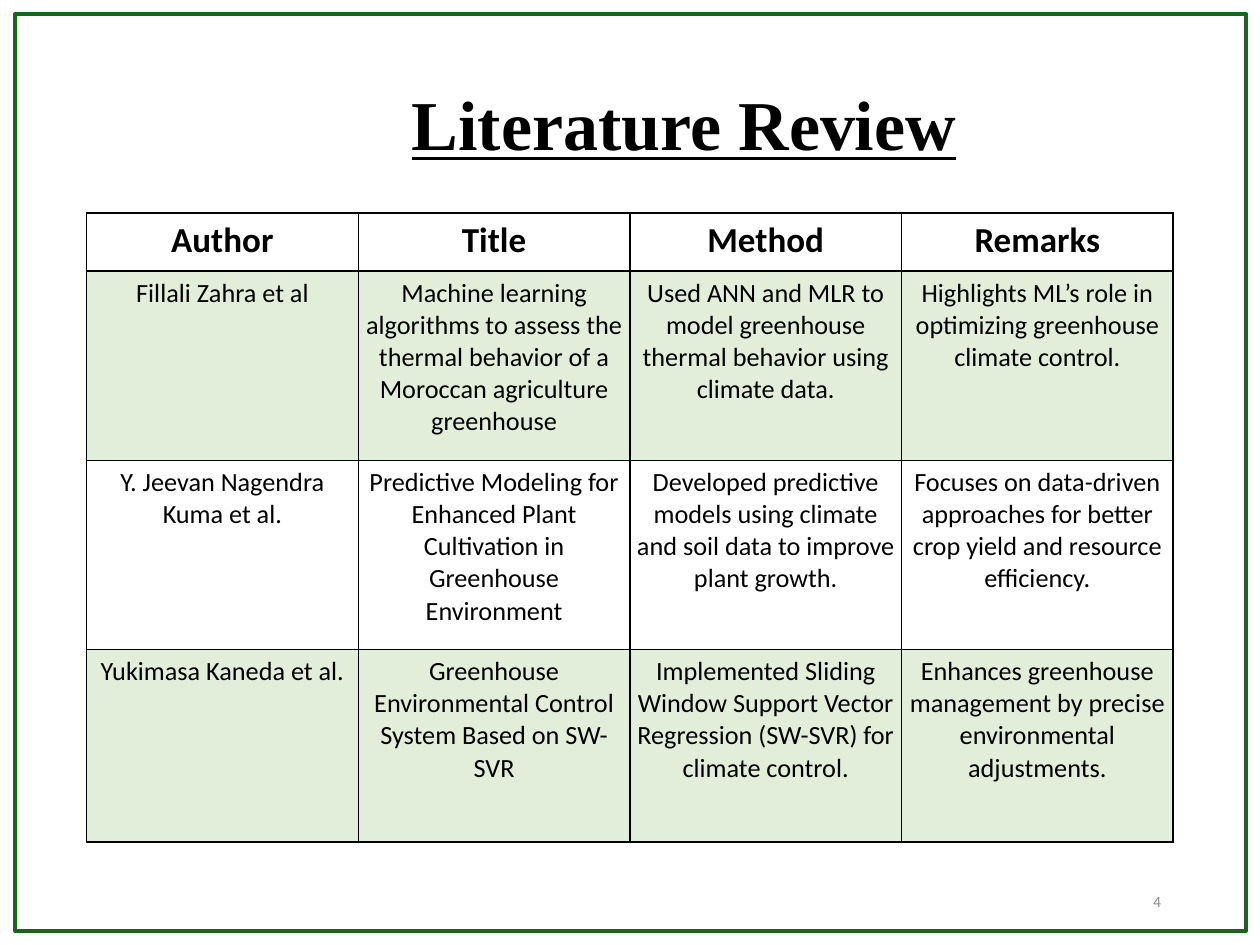
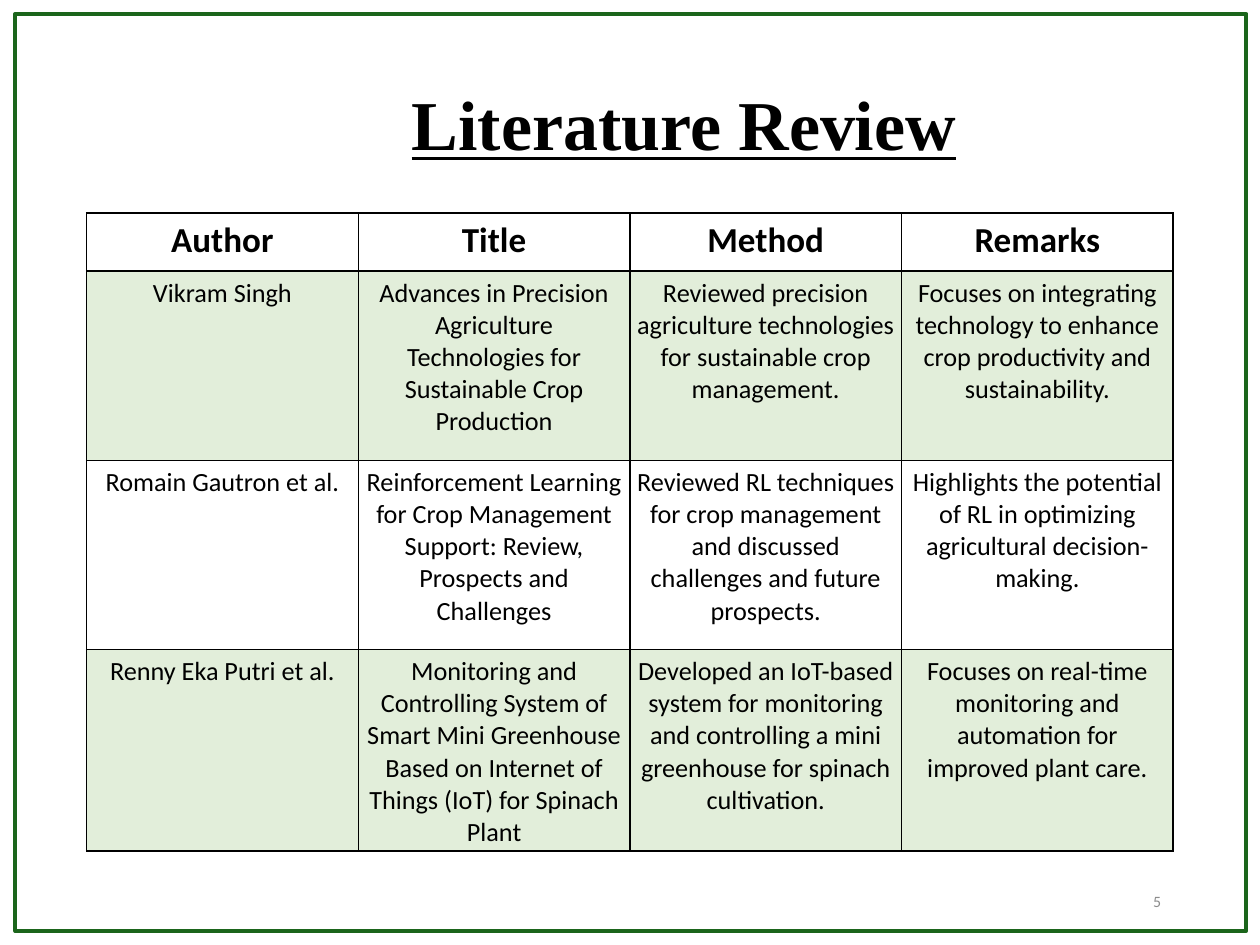
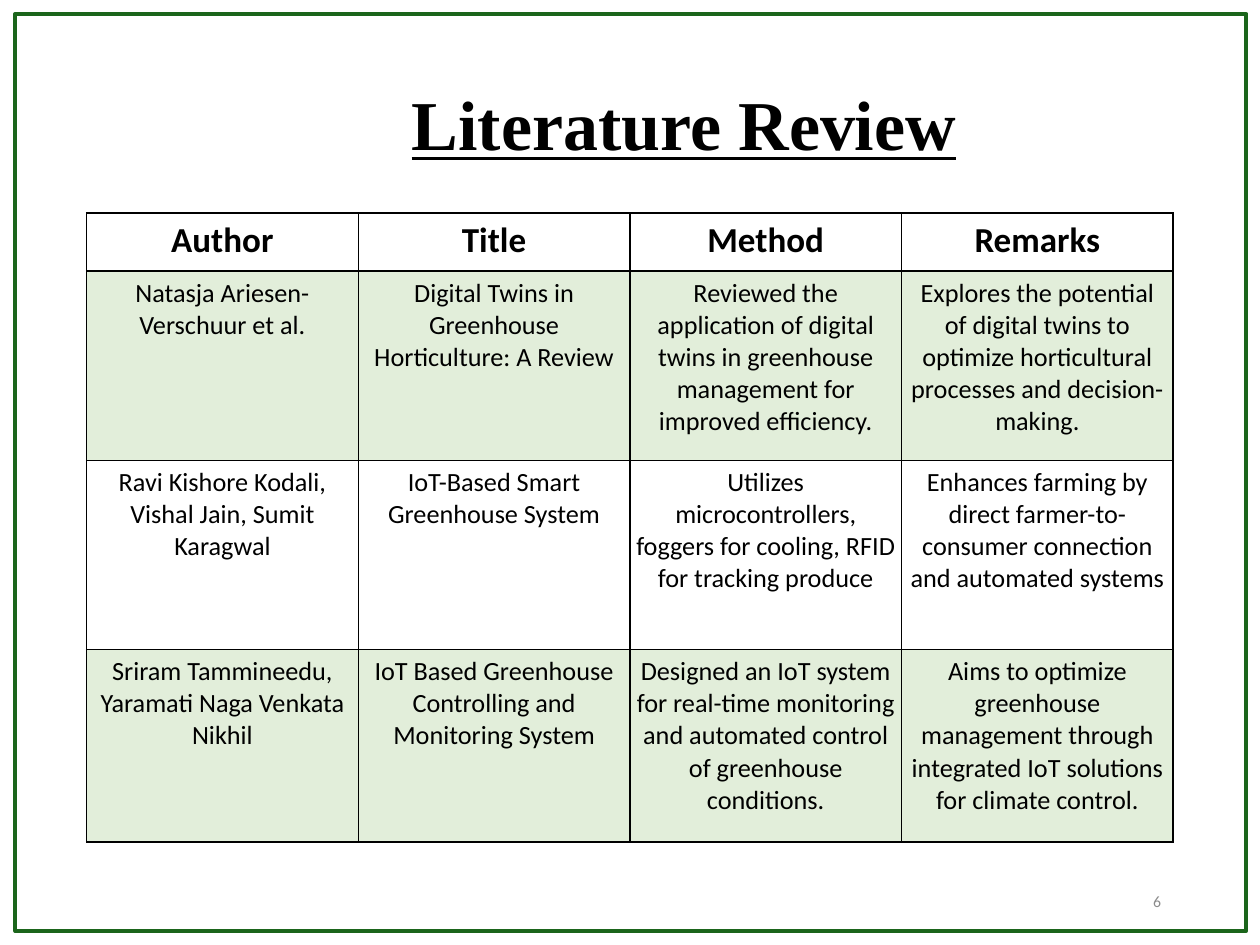
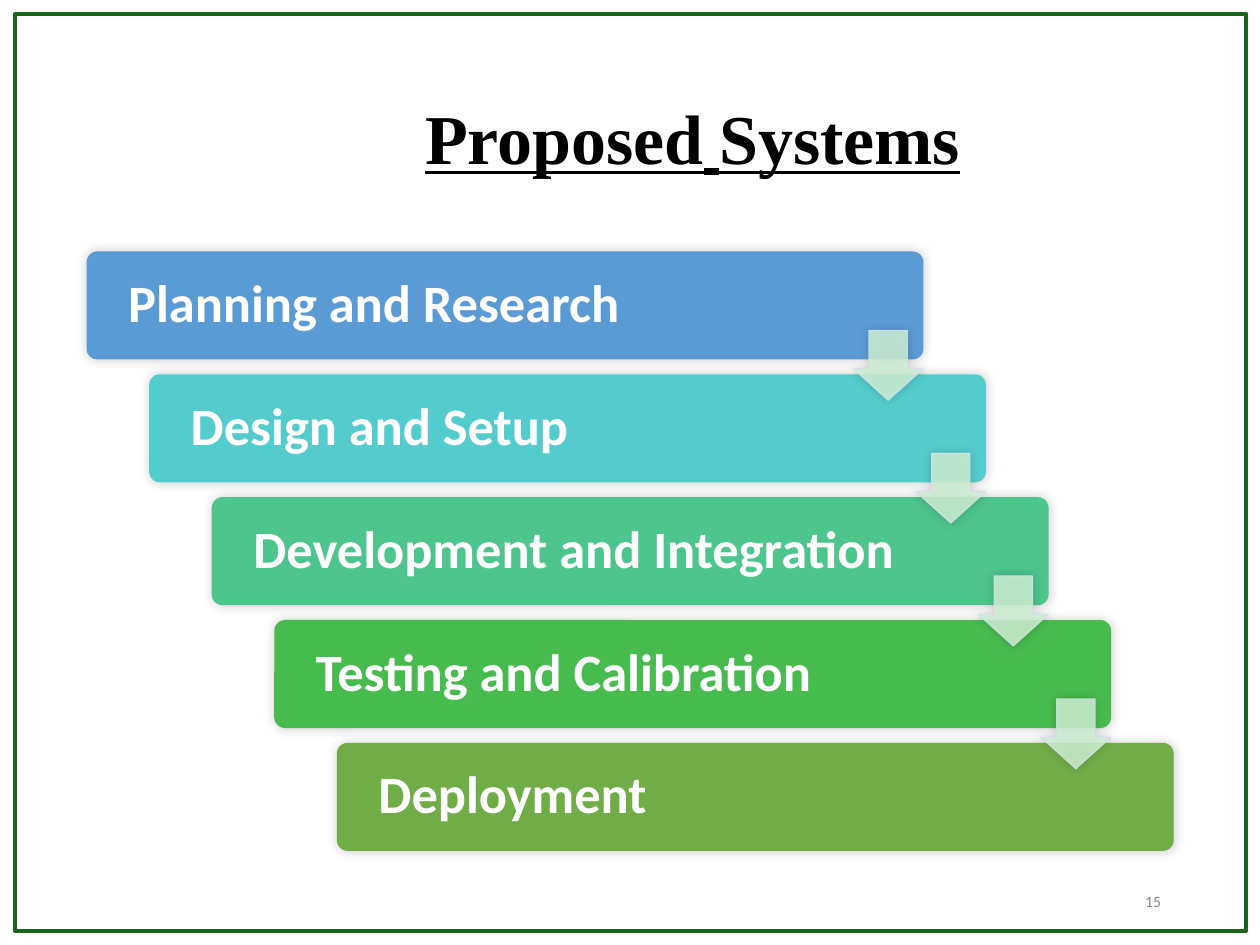
"""Build four slides: three literature tables and a staircase of project steps."""
from dataclasses import dataclass
from typing import Any

from lxml.etree import SubElement
from pptx import Presentation
from pptx.dml.color import RGBColor as Rgb
from pptx.enum.shapes import MSO_SHAPE as Kind
from pptx.enum.text import MSO_ANCHOR as Anchor, PP_ALIGN as Align
from pptx.oxml import parse_xml
from pptx.oxml.ns import nsdecls, qn
from pptx.util import Pt

HUES = {
    "ink": "000000", "white": "FFFFFF", "frame": "1B651B", "grey": "8C8C8C",
    "leaf": "70AD47", "blue": "5B9BD5", "aqua": "54CCCD", "mint": "4DC58D",
    "green": "48BB4F", "pale": "D0F0D5", "edge": "D2DEEF",
}
SANS, SERIF = "Calibri", "Times New Roman"


@dataclass(frozen=True)
class Box:
    left: float
    top: float
    width: float
    height: float

    def spots(self) -> tuple:
        return Pt(self.left), Pt(self.top), Pt(self.width), Pt(self.height)

    def move(self, right: float, down: float) -> "Box":
        return Box(self.left + right, self.top + down, self.width, self.height)


@dataclass(frozen=True)
class Look:
    font: dict[str, Any]
    hue: str
    para: dict[str, Any]


@dataclass(frozen=True)
class Step:
    label: str
    hue: str


@dataclass(frozen=True)
class Review:
    page: str
    rows: list[tuple[str, str, str, str]]


MID = {"alignment": Align.CENTER}
TITLE = Look({"size": Pt(40), "bold": True, "underline": True, "name": SERIF},
             "ink", {**MID, "line_spacing": 0.9})
HEAD = Look({"size": Pt(20), "bold": True, "name": SANS}, "ink", MID)
BODY = Look({"size": Pt(15), "bold": False, "name": SANS}, "ink", MID)
PAGE = Look({"size": Pt(9), "name": SANS}, "grey", {"alignment": Align.RIGHT})
STEP = Look({"size": Pt(30), "bold": True, "name": SANS}, "white",
            {"alignment": Align.LEFT, "line_spacing": 0.9})

FRAME = Box(8.75, 8, 703.5, 524)
TOP = Box(80.5, 21, 620.6, 104.4)
FOOT = Box(508.5, 500.5, 162, 28.75)
GRID = Box(49.5, 121.7, 621, 359.5)
BAR = Box(49.5, 143.7, 478.2, 61.7)
ARROW = Box(487.5, 188.7, 40.1, 40.1)
SHIFT = (35.75, 70.2)
HIGH = (33.25, 108.1, 108.1, 110.05)
PAD = {f"margin_{side}": Pt(3.6) for side in ("left", "right", "top", "bottom")}
HEADS = ("Author", "Title", "Method", "Remarks")

REVIEWS = [
    Review("4", [
        ("Fillali Zahra et al",
         "Machine learning algorithms to assess the thermal behavior of a Moroccan agriculture greenhouse",
         "Used ANN and MLR to model greenhouse thermal behavior using climate data.",
         "Highlights ML’s role in optimizing greenhouse climate control."),
        ("Y. Jeevan Nagendra Kuma et al.",
         "Predictive Modeling for Enhanced Plant Cultivation in Greenhouse Environment",
         "Developed predictive models using climate and soil data to improve plant growth.",
         "Focuses on data-driven approaches for better crop yield and resource efficiency."),
        ("Yukimasa Kaneda et al.",
         "Greenhouse Environmental Control System Based on SW-SVR",
         "Implemented Sliding Window Support Vector Regression (SW-SVR) for climate control.",
         "Enhances greenhouse management by precise environmental adjustments."),
    ]),
    Review("5", [
        ("Vikram Singh",
         "Advances in Precision Agriculture Technologies for Sustainable Crop Production",
         "Reviewed precision agriculture technologies for sustainable crop management.",
         "Focuses on integrating technology to enhance crop productivity and sustainability."),
        ("Romain Gautron et al.",
         "Reinforcement Learning for Crop Management Support: Review, Prospects and Challenges",
         "Reviewed RL techniques for crop management and discussed challenges and future prospects.",
         "Highlights the potential of RL in optimizing agricultural decision-making."),
        ("Renny Eka Putri et al.",
         "Monitoring and Controlling System of Smart Mini Greenhouse Based on Internet of Things (IoT) for Spinach Plant",
         "Developed an IoT-based system for monitoring and controlling a mini greenhouse for spinach cultivation.",
         "Focuses on real-time monitoring and automation for improved plant care."),
    ]),
    Review("6", [
        ("Natasja Ariesen-Verschuur et al.",
         "Digital Twins in Greenhouse Horticulture: A Review",
         "Reviewed the application of digital twins in greenhouse management for improved efficiency.",
         "Explores the potential of digital twins to optimize horticultural processes and decision-making."),
        ("Ravi Kishore Kodali, Vishal Jain, Sumit Karagwal",
         "IoT-Based Smart Greenhouse System",
         "Utilizes microcontrollers, foggers for cooling, RFID for tracking produce",
         "Enhances farming by direct farmer-to-consumer connection and automated systems"),
        ("Sriram Tammineedu, Yaramati Naga Venkata Nikhil",
         "IoT Based Greenhouse Controlling and Monitoring System",
         "Designed an IoT system for real-time monitoring and automated control of greenhouse conditions.",
         "Aims to optimize greenhouse management through integrated IoT solutions for climate control."),
    ]),
]
STEPS = [
    Step("Planning and Research", "blue"),
    Step("Design and Setup", "aqua"),
    Step("Development and Integration", "mint"),
    Step("Testing and Calibration", "green"),
    Step("Deployment", "leaf"),
]


def assign(item: Any, form: dict[str, Any]) -> None:
    for key, value in form.items():
        setattr(item, key, value)


def rgb(hue: str) -> Rgb:
    return Rgb.from_string(HUES[hue])


def paint(fill: Any, hue: str) -> None:
    fill.solid()
    fill.fore_color.rgb = rgb(hue)


def fade(node: Any, share: int) -> None:
    tone = node.find(f"{qn('a:solidFill')}/{qn('a:srgbClr')}")
    SubElement(tone, qn("a:alpha"), val=str(share * 1000))


def write(frame: Any, look: Look, *parts: tuple[str, str]) -> None:
    para = frame.paragraphs[0]
    assign(para, look.para)
    for text, face in parts:
        run = para.add_run()
        run.text = text
        assign(run.font, {**look.font, "name": face})
        run.font.color.rgb = rgb(look.hue)


def label(slide: Any, box: Box, look: Look, *parts: tuple[str, str]) -> None:
    frame = slide.shapes.add_textbox(*box.spots()).text_frame
    assign(frame, {"word_wrap": True, "vertical_anchor": Anchor.MIDDLE})
    write(frame, look, *parts)


def border(slide: Any) -> None:
    shape = slide.shapes.add_shape(Kind.RECTANGLE, *FRAME.spots())
    shape.shadow.inherit = False
    shape.fill.background()
    shape.line.color.rgb = rgb("frame")
    shape.line.width = Pt(2.25)


def rule(cell: Any) -> None:
    props = cell._tc.get_or_add_tcPr()
    for spot, side in enumerate("LRTB"):
        props.insert(spot, parse_xml(
            f'<a:ln{side} {nsdecls("a")} w="{Pt(1)}"><a:solidFill>'
            f'<a:srgbClr val="{HUES["ink"]}"/></a:solidFill></a:ln{side}>'))


def chart(slide: Any, rows: list[tuple[str, str, str, str]]) -> None:
    full = [HEADS, *rows]
    table = slide.shapes.add_table(len(full), len(HEADS), *GRID.spots()).table
    assign(table, {"first_row": False, "horz_banding": False})
    for col in table.columns:
        col.width = Pt(GRID.width / len(HEADS))
    for i, (line, high) in enumerate(zip(full, HIGH)):
        table.rows[i].height = Pt(high)
        for j, text in enumerate(line):
            cell = table.cell(i, j)
            assign(cell, PAD)
            write(cell.text_frame, BODY if i else HEAD, (text, SANS))
            if i % 2:
                paint(cell.fill, "leaf")
                fade(cell._tc.tcPr, 20)
            else:
                cell.fill.background()
            rule(cell)


def block(slide: Any, kind: Any, box: Box, hue: str, bends: tuple) -> Any:
    shape = slide.shapes.add_shape(kind, *box.spots())
    for i, bend in enumerate(bends):
        shape.adjustments[i] = bend
    paint(shape.fill, hue)
    shape.line.fill.background()
    shape.shadow.inherit = False
    glow = SubElement(shape._element.spPr.find(qn("a:effectLst")), qn("a:outerShdw"),
                      blurRad=str(Pt(6)), dist="0", dir="18900000", rotWithShape="0")
    tone = SubElement(glow, qn("a:srgbClr"), val=HUES["ink"])
    SubElement(tone, qn("a:alpha"), val="20000")
    return shape


def stairs(slide: Any) -> None:
    for i, step in enumerate(STEPS):
        box = BAR.move(SHIFT[0] * i, SHIFT[1] * i)
        frame = block(slide, Kind.ROUNDED_RECTANGLE, box, step.hue, (0.1,)).text_frame
        assign(frame, {"word_wrap": True, "vertical_anchor": Anchor.MIDDLE,
                       "margin_left": Pt(22)})
        write(frame, STEP, (step.label, SANS))
    for i in range(len(STEPS) - 1):
        box = ARROW.move(SHIFT[0] * i, SHIFT[1] * i)
        shape = block(slide, Kind.DOWN_ARROW, box, "pale", (0.55, 0.45))
        shape.line.color.rgb = rgb("edge")
        shape.line.width = Pt(0.5)
        fade(shape._element.spPr, 84)
        fade(shape._element.spPr.find(qn("a:ln")), 90)


def main() -> None:
    deck = Presentation()
    assign(deck, {"slide_width": Pt(720), "slide_height": Pt(540)})
    blank = deck.slide_layouts[6]
    for review in REVIEWS:
        slide = deck.slides.add_slide(blank)
        label(slide, TOP, TITLE, ("Literature Review", SERIF))
        chart(slide, review.rows)
        label(slide, FOOT, PAGE, (review.page, SANS))
        border(slide)
    slide = deck.slides.add_slide(blank)
    stairs(slide)
    label(slide, FOOT, PAGE, ("15", SANS))
    label(slide, TOP.move(5, 8), TITLE,
          ("Proposed", SERIF), (" ", SANS), ("Systems", SERIF))
    border(slide)
    deck.save("out.pptx")


if __name__ == "__main__":
    main()
